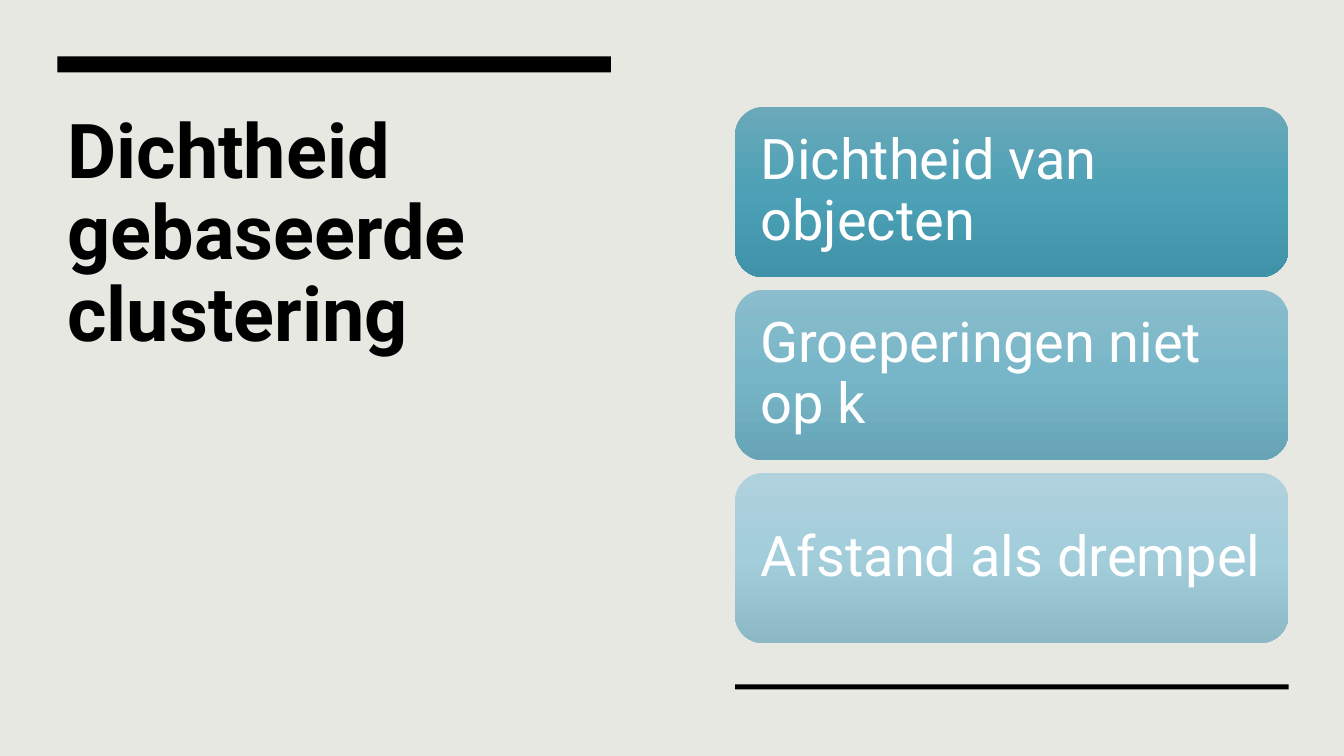
import copy

import pptx
import pptx.dml.color
import pptx.enum.shapes
import pptx.enum.text
import pptx.oxml.ns
import pptx.util

RGBColor = pptx.dml.color.RGBColor
Inches = pptx.util.Inches
Shapes = pptx.enum.shapes.MSO_SHAPE
Anchor = pptx.enum.text.MSO_ANCHOR

PAPER = RGBColor(0xE8, 0xE8, 0xE2)
BLACK = RGBColor(0, 0, 0)
WHITE = RGBColor(0xFF, 0xFF, 0xFF)
CARDS = [
    ("Dichtheid van objecten",
     (RGBColor(0x6A, 0xA8, 0xBA), RGBColor(0x4D, 0xA1, 0xB6), RGBColor(0x3F, 0x92, 0xA7))),
    ("Groeperingen niet op k",
     (RGBColor(0x8B, 0xBD, 0xCC), RGBColor(0x77, 0xB6, 0xC8), RGBColor(0x66, 0xA4, 0xB6))),
    ("Afstand als drempel",
     (RGBColor(0xB0, 0xD2, 0xDD), RGBColor(0xA2, 0xCD, 0xDA), RGBColor(0x8D, 0xB8, 0xC5))),
]

# Slide grid, in inches
PAGE_WIDTH, PAGE_HEIGHT = 13.33, 7.5
COLUMN_WIDTH = 5.49
LEFT_COLUMN, RIGHT_COLUMN = 0.57, 7.29
CARD_HEIGHT, CARD_PITCH = 1.69, 1.815


def apply_format(target, values):
    for name, value in values.items():
        setattr(target, name, value)


def write_text(frame, text, size, color, bold, frame_format):
    apply_format(frame, {"word_wrap": True,
                         "auto_size": pptx.enum.text.MSO_AUTO_SIZE.NONE,
                         **frame_format})
    para = frame.paragraphs[0]
    apply_format(para, {"alignment": pptx.enum.text.PP_ALIGN.LEFT, "line_spacing": 0.9,
                        "space_before": pptx.util.Pt(0)})
    span = para.add_run()
    span.text = text
    apply_format(span.font, {"name": "Roboto", "size": pptx.util.Pt(size), "bold": bold})
    span.font.color.rgb = color


def add_block(page, kind, box):
    shape = page.shapes.add_shape(kind, *map(Inches, box))
    shape.shadow.inherit = False
    shape.line.fill.background()
    return shape


def add_bar(page, box):
    bar = add_block(page, Shapes.RECTANGLE, box)
    bar.fill.solid()
    bar.fill.fore_color.rgb = BLACK


def fill_gradient(shape, colors):
    shape.fill.gradient()
    shape.fill.gradient_angle = 270
    # The default gradient has two stops; add a middle one
    stop_list = shape._element.spPr.find(".//" + pptx.oxml.ns.qn("a:gsLst"))
    stop_list.insert(1, copy.deepcopy(stop_list[0]))
    for index, (stop, color) in enumerate(zip(shape.fill.gradient_stops, colors)):
        stop.position = index / (len(colors) - 1)
        stop.color.rgb = color


def add_heading(page, box):
    left, top, width, height = box
    add_bar(page, (left, top, width, 0.16))
    title = page.shapes.title
    apply_format(title, dict(zip(("left", "top", "width", "height"),
                                 map(Inches, (left, top + 0.51, width, height - 0.51)))))
    write_text(title.text_frame, "Dichtheid gebaseerde clustering", 54, BLACK, True,
               {"vertical_anchor": Anchor.TOP})


def add_cards(page, box):
    left, top, width, height = box
    margins = {f"margin_{side}": Inches(0.17) for side in ("left", "top", "right", "bottom")}
    for row, (text, colors) in enumerate(CARDS):
        card = add_block(page, Shapes.ROUNDED_RECTANGLE,
                         (left, top + row * CARD_PITCH, width, CARD_HEIGHT))
        fill_gradient(card, colors)
        write_text(card.text_frame, text, 40, WHITE, False,
                   {"vertical_anchor": Anchor.MIDDLE, **margins})
    # Closing rule under the cards
    add_bar(page, (left, top + height - 0.05, width, 0.05))


def main():
    deck = pptx.Presentation()
    apply_format(deck, {"slide_width": Inches(PAGE_WIDTH), "slide_height": Inches(PAGE_HEIGHT)})
    page = deck.slides.add_slide(deck.slide_layouts[5])
    page.background.fill.solid()
    page.background.fill.fore_color.rgb = PAPER
    add_heading(page, (LEFT_COLUMN, 0.56, COLUMN_WIDTH, 3.19))
    add_cards(page, (RIGHT_COLUMN, 1.06, COLUMN_WIDTH, 5.78))
    deck.save("out.pptx")


if __name__ == "__main__":
    main()
